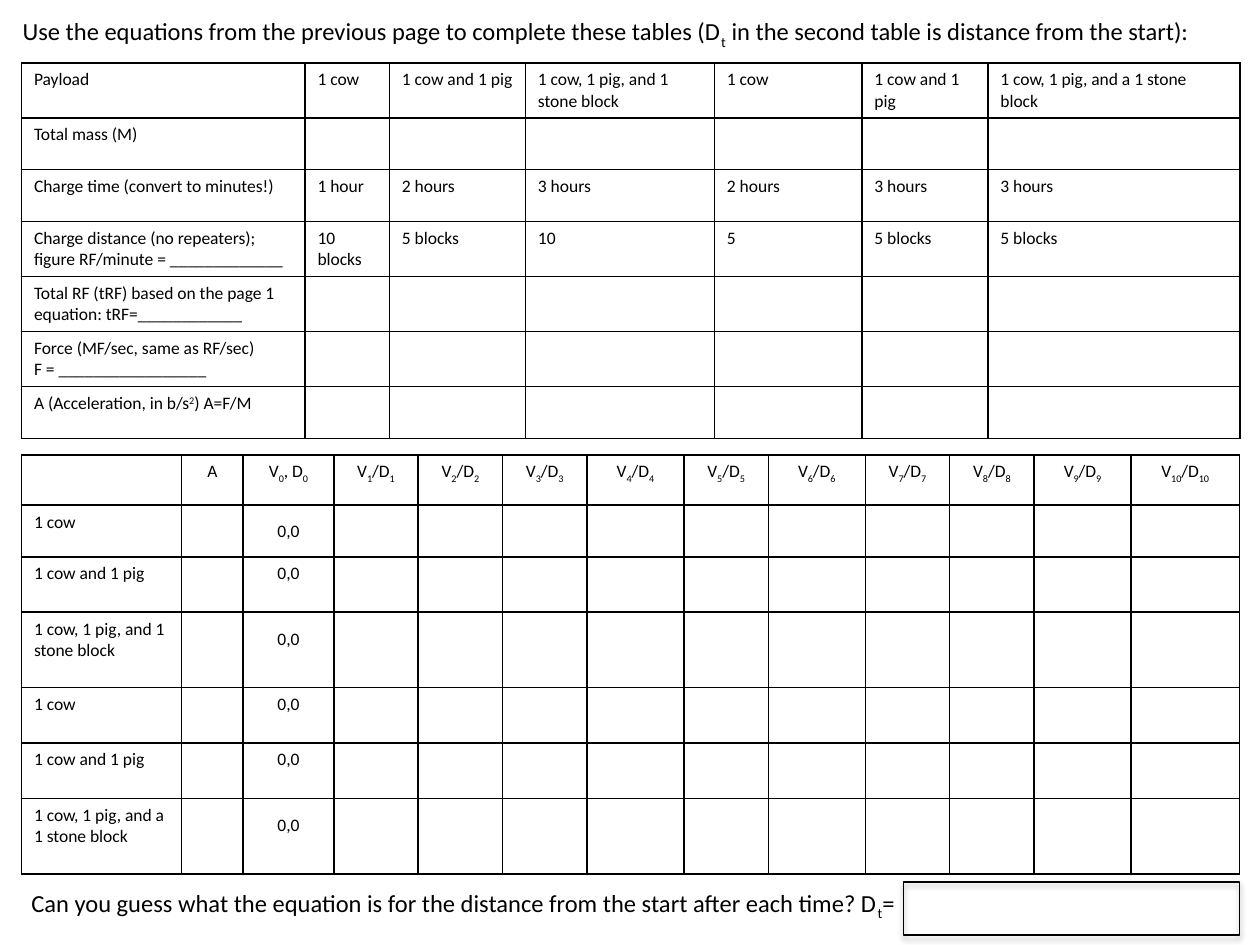
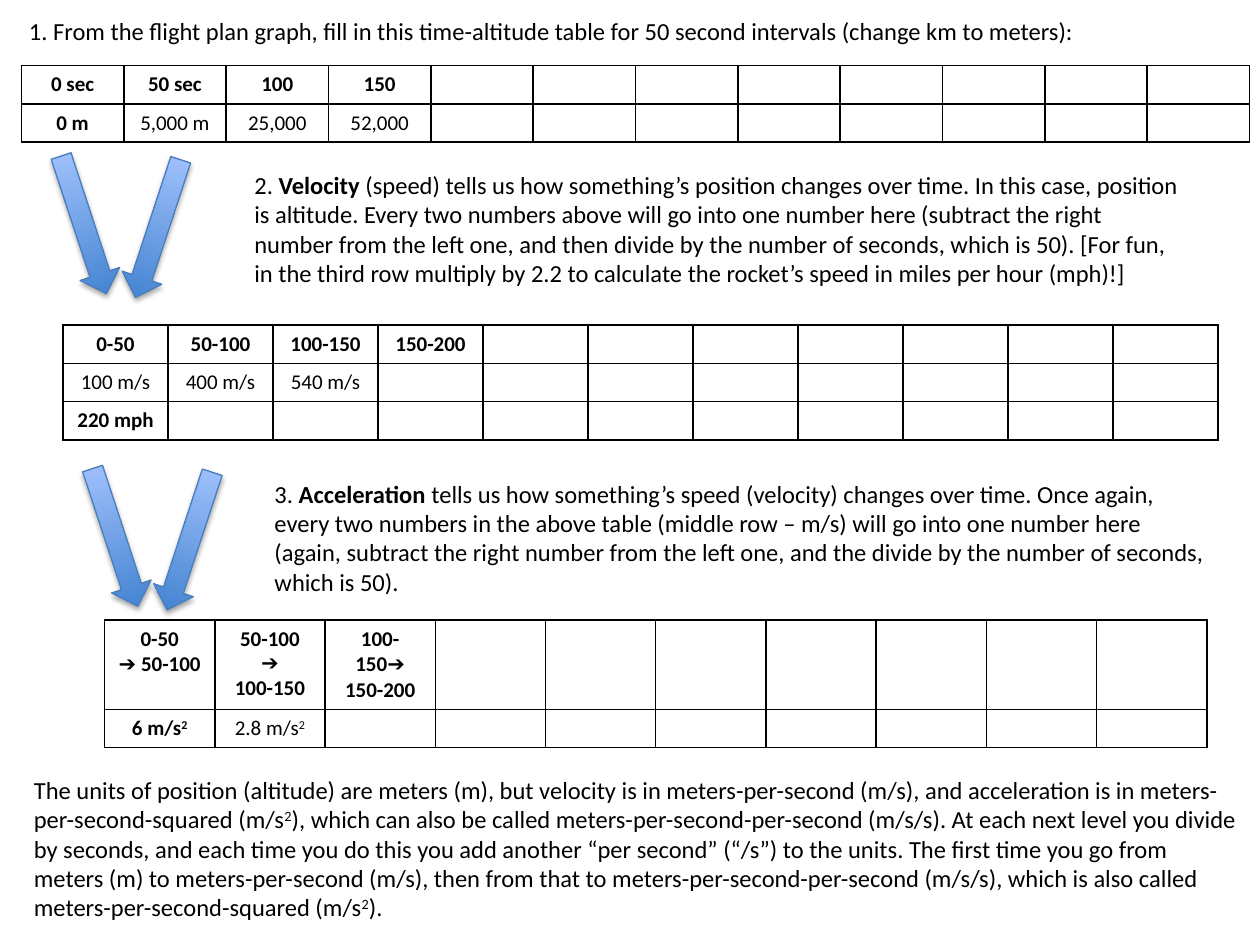
from dataclasses import dataclass

from lxml import etree
from pptx import Presentation
from pptx.dml.color import RGBColor
from pptx.enum import shapes, text
from pptx.oxml import ns
from pptx.util import Inches, Pt

FONT = "Calibri"
SYMBOL_FONT = "Arial"
BLACK = "000000"
WHITE = "FFFFFF"
ARROW_EDGE = "4B7EBC"
GRADIENT = ("3F80CE", "A4C4FF")
BODY_SIZE = 14
SUBSCRIPT = -25000
SUPERSCRIPT = 30000
TITLE_ONLY = 5
TOP_TITLE = 0.08


@dataclass
class Run:
    text: str
    bold: bool = False
    baseline: int = 0
    font: str = FONT


SQUARED = Run("2", baseline=SUPERSCRIPT)
ARROW = Run("➔", font=SYMBOL_FONT)


def sub(label):
    return Run(label, baseline=SUBSCRIPT)


def color(value):
    return RGBColor.from_string(value)


def add_runs(paragraph, runs, size, bold=False):
    for item in runs:
        part = Run(item) if isinstance(item, str) else item
        run = paragraph.add_run()
        run.text = part.text
        run.font.name = part.font
        run.font.size = Pt(size)
        run.font.bold = bold or part.bold
        run.font.color.rgb = color(BLACK)
        if part.baseline:
            run.font._element.set("baseline", str(part.baseline))


def format_body(holder, runs):
    frame = holder.text_frame
    frame.word_wrap = True
    frame.auto_size = text.MSO_AUTO_SIZE.NONE
    frame.vertical_anchor = text.MSO_ANCHOR.TOP
    paragraph = frame.paragraphs[0]
    paragraph.alignment = text.PP_ALIGN.LEFT
    add_runs(paragraph, runs, BODY_SIZE)


def add_titled_slide(deck, left, width, runs):
    slide = deck.slides.add_slide(deck.slide_layouts[TITLE_ONLY])
    title = slide.shapes.title
    title.left, title.top = Inches(left), Inches(TOP_TITLE)
    title.width, title.height = Inches(width), Inches(0.34)
    format_body(title, runs)
    return slide


def add_text(slide, left, top, width, height, runs):
    box = slide.shapes.add_textbox(
        Inches(left), Inches(top), Inches(width), Inches(height))
    format_body(box, runs)


def add_borders(cell):
    properties = cell._tc.get_or_add_tcPr()
    for index, side in enumerate(("lnL", "lnR", "lnT", "lnB")):
        line = etree.Element(ns.qn(f"a:{side}"), w=str(Pt(1)))
        fill = etree.SubElement(line, ns.qn("a:solidFill"))
        etree.SubElement(fill, ns.qn("a:srgbClr"), val=BLACK)
        properties.insert(index, line)


def fill_cell(cell, paragraphs, size, bold, alignment):
    cell.fill.solid()
    cell.fill.fore_color.rgb = color(WHITE)
    add_borders(cell)
    frame = cell.text_frame
    for index, runs in enumerate(paragraphs):
        paragraph = frame.add_paragraph() if index else frame.paragraphs[0]
        paragraph.alignment = alignment
        add_runs(paragraph, runs, size, bold)
    if not paragraphs:
        etree.SubElement(frame.paragraphs[0]._p, ns.qn("a:endParaRPr"),
                         sz=str(size * 100))


def add_grid(slide, left, top, widths, heights, rows, size,
             is_bold=lambda row, column: False,
             is_centered=lambda row, column: True):
    grid = slide.shapes.add_table(
        len(heights), len(widths), Inches(left), Inches(top),
        Inches(sum(widths)), Inches(sum(heights))).table
    grid.first_row = False
    grid.horz_banding = False
    for column, width in zip(grid.columns, widths):
        column.width = Inches(width)
    for r, height in enumerate(heights):
        grid.rows[r].height = Inches(height)
        for c in range(len(widths)):
            content = rows[r][c] if c < len(rows[r]) else ""
            if isinstance(content, str):
                content = [[content]] if content else []
            alignment = (text.PP_ALIGN.CENTER if is_centered(r, c)
                         else text.PP_ALIGN.LEFT)
            fill_cell(grid.cell(r, c), content, size, is_bold(r, c), alignment)
    return grid


def add_glossy_shape(slide, kind, left, top, width, height, edge):
    shape = slide.shapes.add_shape(
        kind, Inches(left), Inches(top), Inches(width), Inches(height))
    shape.fill.gradient()
    shape.fill.gradient_angle = 90
    for stop, shade in zip(shape.fill.gradient_stops, GRADIENT):
        stop.color.rgb = color(shade)
    shape.line.color.rgb = color(edge)
    shape.line.width = Pt(0.75)
    shape.shadow.inherit = False
    effects = shape._element.spPr.find(ns.qn("a:effectLst"))
    shadow = etree.SubElement(
        effects, ns.qn("a:outerShdw"), blurRad=str(Pt(3.1)),
        dist=str(Pt(1.8)), dir="5400000", rotWithShape="0")
    shade = etree.SubElement(shadow, ns.qn("a:srgbClr"), val=BLACK)
    etree.SubElement(shade, ns.qn("a:alpha"), val="35000")
    return shape


def add_converging_arrows(slide, left, top):
    for dx, dy, tilt in ((0, 0, 341.8), (0.59, 0.03, 18.2)):
        arrow = add_glossy_shape(
            slide, shapes.MSO_SHAPE.DOWN_ARROW,
            left + dx, top + dy, 0.33, 1.15, ARROW_EDGE)
        arrow.rotation = tilt


def build_payload_slide(deck):
    slide = add_titled_slide(deck, 0.08, 9.58, [
        "Use the equations from the previous page to complete these tables (D",
        sub("t"), " in the second table is distance from the start):"])

    payloads = ["1 cow", "1 cow and 1 pig", "1 cow, 1 pig, and 1 stone block",
                "1 cow", "1 cow and 1 pig",
                "1 cow, 1 pig, and a 1 stone block"]
    force_rows = [
        ["Payload", *payloads],
        ["Total mass (M)"],
        ["Charge time (convert to minutes!)", "1 hour", "2 hours", "3 hours",
         "2 hours", "3 hours", "3 hours"],
        ["Charge distance (no repeaters); figure RF/minute = _____________",
         "10 blocks", "5 blocks", "10", "5", "5 blocks", "5 blocks"],
        ["Total RF (tRF) based on the page 1 equation: tRF=____________"],
        [[["Force (MF/sec, same as RF/sec)"], ["F = _________________"]]],
        [[["A (Acceleration, in b/s", SQUARED, ") A=F/M"]]],
    ]
    add_grid(slide, 0.17, 0.5, [2.25, 0.67, 1.08, 1.5, 1.17, 1, 2],
             [0.43, 0.41, 0.41, 0.43, 0.43, 0.43, 0.41], force_rows, 10,
             is_centered=lambda row, column: False)

    steps = [[["V", sub(str(n)), "/D", sub(str(n))]] for n in range(1, 11)]
    start = [["V", sub("0"), ", D", sub("0")]]
    motion_rows = [["", "A", start, *steps]]
    motion_rows += [[payload, "", "0,0"] for payload in payloads]
    motion = add_grid(
        slide, 0.17, 3.61,
        [1.27, 0.49, 0.72, 0.67, 0.67, 0.67, 0.77, 0.67, 0.77, 0.67, 0.67,
         0.77, 0.86],
        [0.4, 0.41, 0.43, 0.6, 0.43, 0.44, 0.6], motion_rows, 10,
        is_centered=lambda row, column: column > 0)
    for row in range(1, len(motion_rows)):
        origin = motion.cell(row, 2)
        origin.vertical_anchor = text.MSO_ANCHOR.MIDDLE
        if row > 1:
            origin.margin_bottom = Inches(0.22)

    add_text(slide, 0.15, 7, 9.58, 0.34, [
        "Can you guess what the equation is for the distance from the start "
        "after each time? D", sub("t"), "="])
    answer = add_glossy_shape(slide, shapes.MSO_SHAPE.FRAME,
                              7.17, 7, 2.67, 0.42, BLACK)
    answer.adjustments[0] = 0.005


def build_flight_slide(deck):
    slide = add_titled_slide(deck, 0.13, 9.71, [
        "1. From the flight plan graph, fill in this time-altitude table for "
        "50 second intervals (change km to meters):"])

    def header_or_corner(row, column):
        return row == 0 or (row == 1 and column == 0)

    add_grid(slide, 0.17, 0.52, [9.75 / 12] * 12, [0.3] * 2, [
        ["0 sec", "50 sec", "100", "150"],
        ["0 m", "5,000 m", "25,000", "52,000"],
    ], 12, is_bold=header_or_corner)

    add_grid(slide, 0.5, 2.58, [9.17 / 11] * 11, [0.3] * 3, [
        ["0-50", "50-100", "100-150", "150-200"],
        ["100 m/s", "400 m/s", "540 m/s"],
        ["220 mph"],
    ], 12, is_bold=lambda row, column: row != 1)

    add_grid(slide, 0.83, 4.92, [8.75 / 10] * 10, [0.7, 0.3], [
        [[["0-50"], [ARROW, " 50-100"]],
         [["50-100"], [ARROW], ["100-150"]],
         [["100-150", ARROW], ["150-200"]]],
        [[["6 m/s", SQUARED]], [["2.8 m/s", SQUARED]]],
    ], 12, is_bold=header_or_corner)

    add_text(slide, 1.92, 1.3, 7.58, 1.04, [
        "2. ", Run("Velocity", bold=True),
        " (speed) tells us how something’s position changes over time. In "
        "this case, position is altitude. Every two numbers above will go "
        "into one number here (subtract the right number from the left one, "
        "and then divide by the number of seconds, which is 50). [For fun, in "
        "the third row multiply by 2.2 to calculate the rocket’s speed in "
        "miles per hour (mph)!]"])
    add_text(slide, 2.08, 3.75, 7.58, 1.04, [
        "3. ", Run("Acceleration", bold=True),
        " tells us how something’s speed (velocity) changes over time. Once "
        "again, every two numbers in the above table (middle row – m/s) will "
        "go into one number here (again, subtract the right number from the "
        "left one, and the divide by the number of seconds, which is 50)."])
    add_text(slide, 0.17, 6.1, 9.75, 1.28, [
        "The units of position (altitude) are meters (m), but velocity is in "
        "meters-per-second (m/s), and acceleration is in "
        "meters-per-second-squared (m/s", SQUARED,
        "), which can also be called meters-per-second-per-second (m/s/s). "
        "At each next level you divide by seconds, and each time you do this "
        "you add another “per second” (“/s”) to the units. The first time you "
        "go from meters (m) to meters-per-second (m/s), then from that to "
        "meters-per-second-per-second (m/s/s), which is also called "
        "meters-per-second-squared (m/s", SQUARED, ")."])

    add_converging_arrows(slide, 0.5, 1.21)
    add_converging_arrows(slide, 0.75, 3.69)


def main():
    deck = Presentation()
    deck.slide_width, deck.slide_height = Inches(10), Inches(7.5)
    build_payload_slide(deck)
    build_flight_slide(deck)
    deck.save("out.pptx")


if __name__ == "__main__":
    main()
